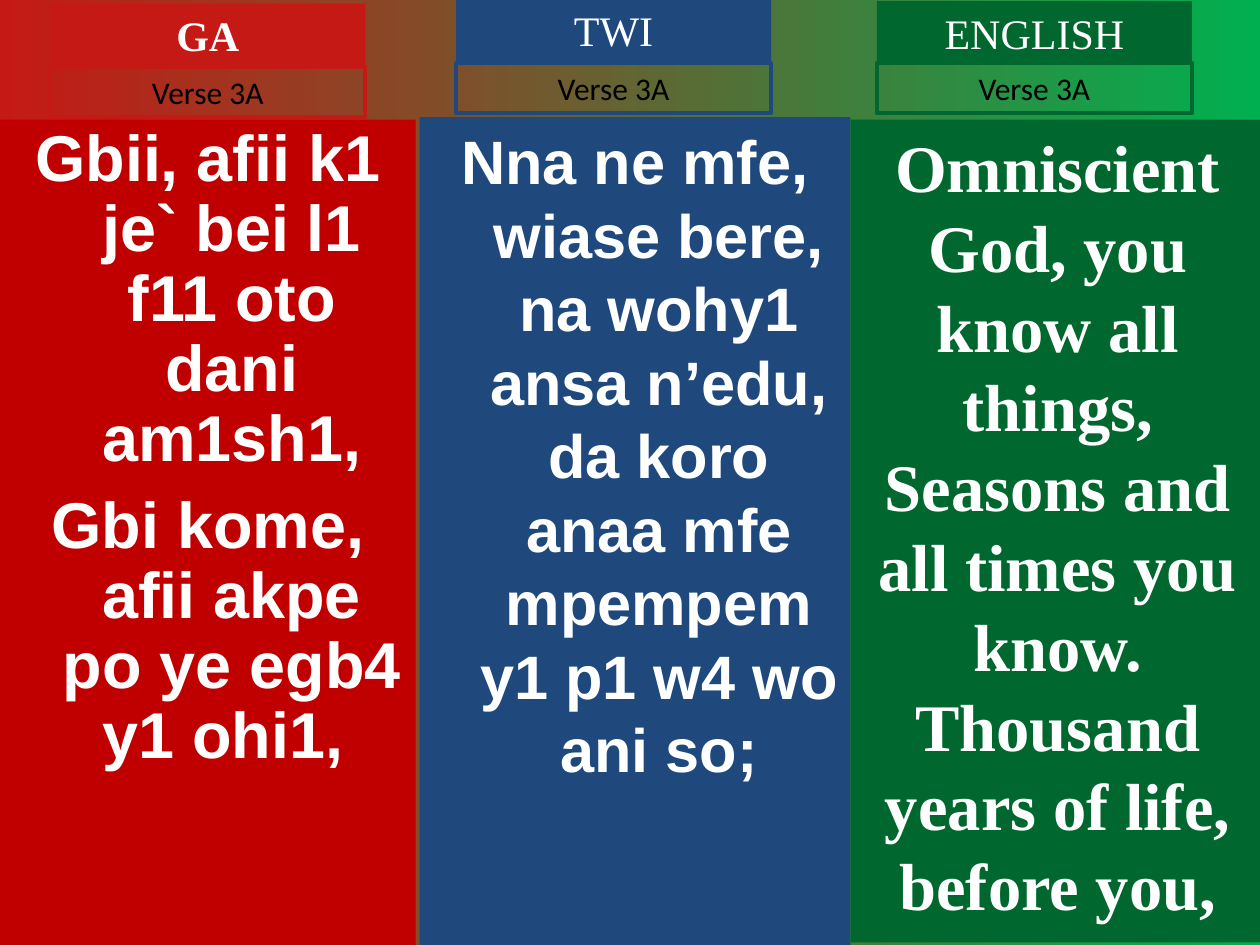
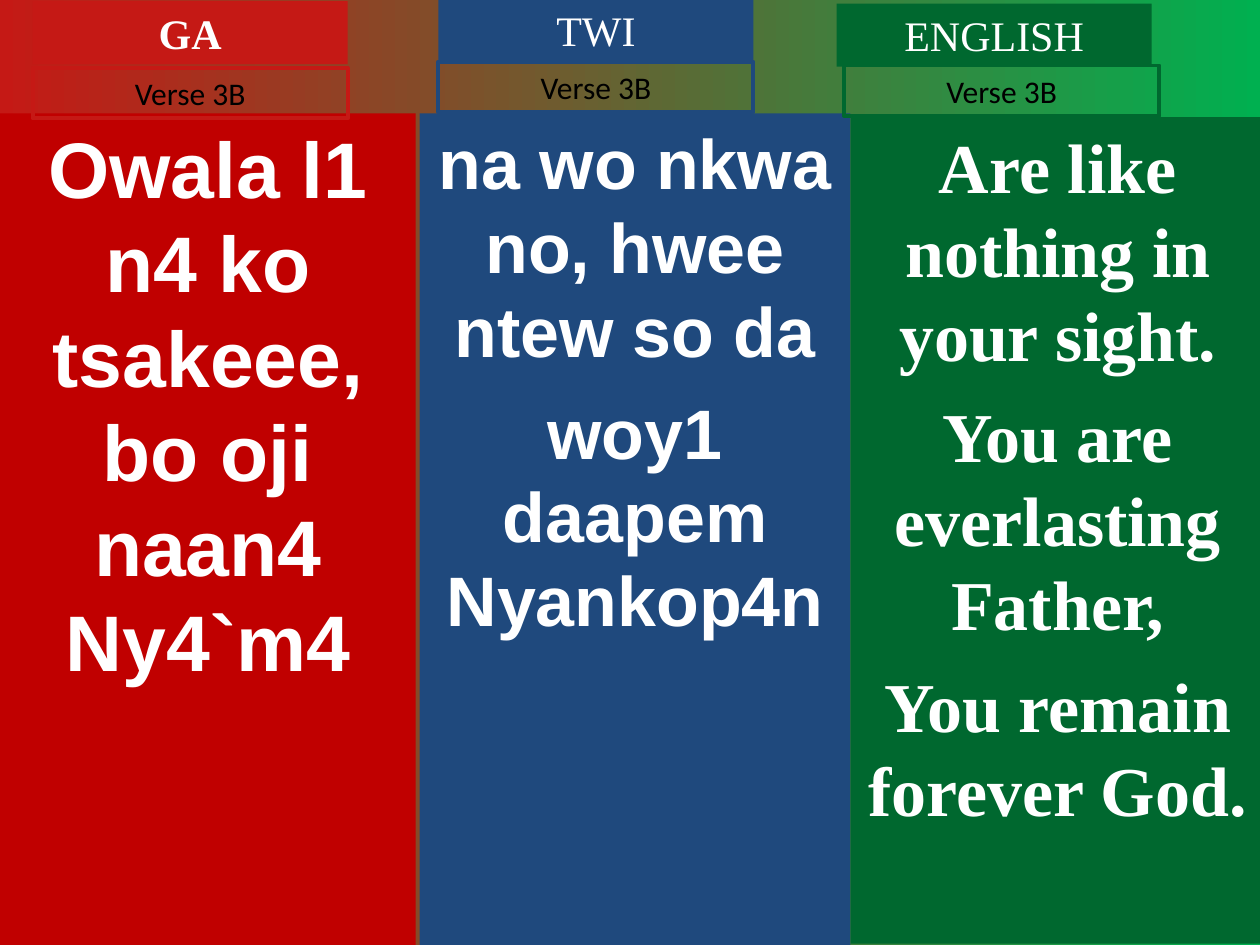
from pptx import Presentation
from pptx.dml.color import RGBColor
from pptx.enum.shapes import MSO_SHAPE as Shape
from pptx.enum.text import MSO_ANCHOR as Anchor, MSO_AUTO_SIZE as Fit, PP_ALIGN as Align
from pptx.util import Inches, Pt

RED = RGBColor(0xC0, 0x00, 0x00)
ROSE = RGBColor(0xC5, 0x19, 0x15)
BLUE = RGBColor(0x1F, 0x49, 0x7D)
GREEN = RGBColor(0x00, 0x68, 0x2F)
LIME = RGBColor(0x00, 0xB0, 0x50)
WHITE = RGBColor(0xFF, 0xFF, 0xFF)
BLACK = RGBColor(0x00, 0x00, 0x00)

SANS, SERIF, LABEL = "Arial", "Times New Roman", "Calibri"
COLS, ROWS = 100, 75
LANGS = [
    ("GA", ROSE, RED, SANS, 0, 33),
    ("TWI", BLUE, BLUE, SANS, 33.3, 34.2),
    ("ENGLISH", GREEN, GREEN, SERIF, 67.5, 32.9),
]


class Deck:
    def __init__(self):
        self.file = Presentation()
        self.file.slide_width, self.file.slide_height = Inches(10), Inches(7.5)
        self.cell = self.file.slide_width / COLS
        self.slide = None

    def page(self):
        self.slide = self.file.slides.add_slide(self.file.slide_layouts[6])
        fill = self.slide.background.fill
        fill.gradient()
        fill.gradient_angle = 0
        for stop, color, place in zip(fill.gradient_stops, (ROSE, LIME), (0, 1)):
            stop.color.rgb, stop.position = color, place

    def box(self, col, row, wide, high, fill=None, line=None):
        place = [round(n * self.cell) for n in (col, row, wide, high)]
        shape = self.slide.shapes.add_shape(Shape.RECTANGLE, *place)
        shape.shadow.inherit = False
        if fill is None:
            shape.fill.background()
        else:
            shape.fill.solid()
            shape.fill.fore_color.rgb = fill
        if line is None:
            shape.line.fill.background()
        else:
            shape.line.color.rgb = line
            shape.line.width = Pt(2.25)
        return shape

    def text(self, shape, parts, size, font, color, bold=False, gap=0, pitch=None, hang=0):
        frame = shape.text_frame
        frame.word_wrap = True
        frame.vertical_anchor = Anchor.TOP
        for i, part in enumerate(parts):
            para = frame.add_paragraph() if i else frame.paragraphs[0]
            para.alignment = Align.CENTER
            if i:
                para.space_before = Pt(gap)
            if pitch:
                para.line_spacing = pitch
            if hang:
                props = para._p.get_or_add_pPr()
                props.set("marL", str(round(hang * self.cell)))
                props.set("indent", str(round(-hang * self.cell)))
            run = para.add_run()
            run.text = part
            run.font.size, run.font.name = Pt(size), font
            run.font.bold, run.font.color.rgb = bold, color

    def panel(self, col, row, wide, end, fill, font, parts, size, **style):
        shape = self.box(col, row, wide, end - row, fill)
        self.text(shape, parts, size, font, WHITE, bold=True, **style)

    def head(self, col, row, name, fill):
        shape = self.box(col, row, 25, 5, fill)
        self.text(shape, [name], 24, SERIF, WHITE, bold=name == "GA")
        shape.text_frame.auto_size = Fit.SHAPE_TO_FIT_TEXT

    def verse(self, col, row, name, line):
        shape = self.box(col, row, 25, 4, line=line)
        self.text(shape, [name], 18, LABEL, BLACK)
        shape.text_frame.auto_size = Fit.SHAPE_TO_FIT_TEXT


PAGES = [
    ("Verse 3A", [
        ((4, 0.3), (4, 5.3), (9.5, ROWS),
         ["Gbii, afii k1 je` bei l1 f11 oto dani am1sh1,",
          "Gbi kome, afii akpe po ye egb4 y1 ohi1, "],
         dict(size=37, gap=10, pitch=0.9, hang=3.8)),
        ((36.2, -0.1), (36.2, 5), (9.3, ROWS),
         ["Nna ne mfe, wiase bere, na wohy1 ansa n’edu, da koro anaa mfe "
          "mpempem y1 p1 w4 wo ani so;"],
         dict(size=35, hang=3.8)),
        ((69.6, 0.1), (69.6, 5), (9.5, 74.8),
         ["Omniscient God, you know all things, Seasons and all times you know. "
          "Thousand years of life, before you,"],
         dict(size=38)),
    ]),
    ("Verse 3B", [
        ((2.6, 0.1), (2.6, 5.4), (9, ROWS),
         ["Owala l1 n4 ko tsakeee,", "bo oji naan4 Ny4`m4"],
         dict(size=45)),
        ((34.8, -0.1), (34.8, 4.9), (9, ROWS),
         ["na wo nkwa no, hwee ntew so da", "woy1 daapem Nyankop4n"],
         dict(size=40, gap=10)),
        ((66.4, 0.3), (67, 5.2), (9.3, 74.9),
         ["Are like nothing in your sight.", "You are everlasting Father,",
          "You remain forever God."],
         dict(size=40, gap=10)),
    ]),
]


def main():
    deck = Deck()
    for label, parts in PAGES:
        deck.page()
        for lang, part in zip(LANGS, parts):
            name, tint, fill, font, col, wide = lang
            head, verse, span, lines, style = part
            deck.panel(col, span[0], wide, span[1], fill, font, lines, **style)
            deck.head(*head, name, tint)
            deck.verse(*verse, label, tint)
    deck.file.save("out.pptx")


if __name__ == "__main__":
    main()
